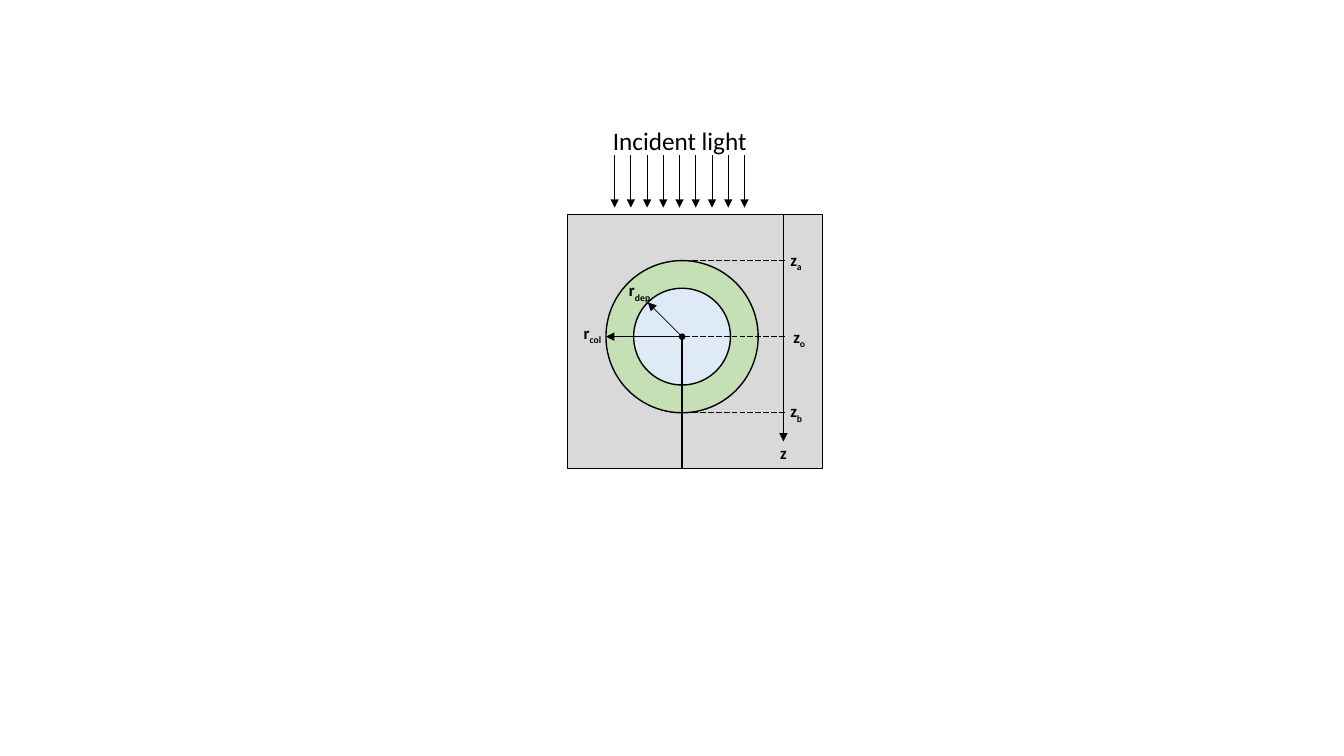
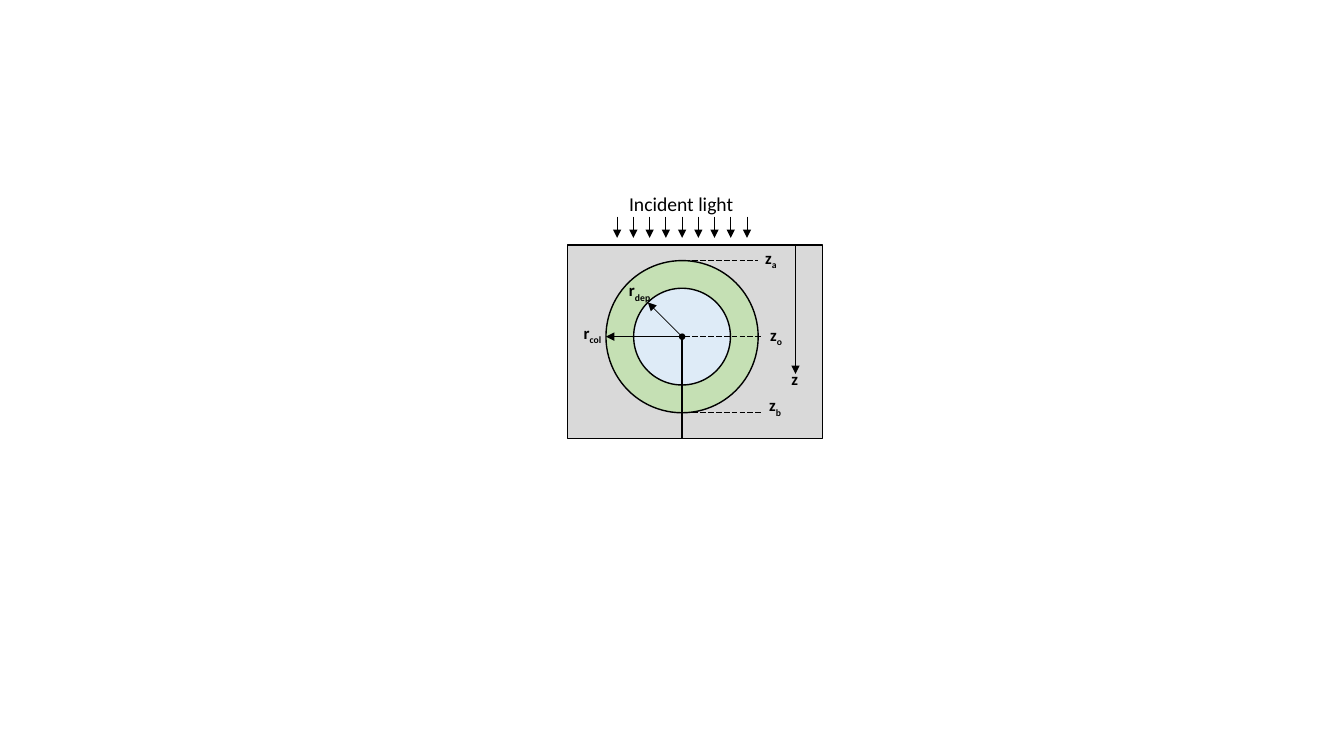
from dataclasses import dataclass
from math import cos, radians, sin

from pptx import Presentation
from pptx.dml.color import RGBColor
from pptx.enum.dml import MSO_LINE
from pptx.enum.shapes import MSO_CONNECTOR, MSO_SHAPE
from pptx.enum.text import MSO_AUTO_SIZE
from pptx.oxml.ns import qn
from pptx.util import Inches, Pt
from lxml.etree import SubElement


@dataclass(frozen=True)
class Theme:
    font: str = "Calibri"
    ink: str = "000000"
    medium: str = "D9D9D9"
    collection: str = "C5E0B4"
    depletion: str = "DEEBF7"
    label_size: float = 12
    thin: float = 0.5
    outline: float = 1


THEME = Theme()
COLUMNS, ROWS = 1333, 750
CELL = Inches(0.01)

CENTRE_COL, CENTRE_ROW = 676.5, 334
R_COL, R_DEP, R_DOT = 75.5, 48, 2.5
BOX_LEFT, BOX_WIDTH = 563, 253
LABEL_HEIGHT = 30
RAY_COUNT, RAY_PITCH = 9, 16.1
DEP_ANGLE = radians(225)

RADIUS_LABELS = [("r", "dep", 614, 273, 43), ("r", "col", 569, 315, 39)]

DIAGRAMS = [
    {
        "box": (213, 252),
        "axis": (777, 438),
        "guide_ends": (780, 780, 780),
        "depth_labels": [
            ("z", "", 764, 434, 27),
            ("z", "a", 774, 243, 32),
            ("z", "o", 777, 319, 33),
            ("z", "b", 774, 393, 33),
        ],
        "rays": (674, 154, 206),
        "light": (598, 119, 155, 40, 18),
    },
    {
        "box": (243, 192),
        "axis": (789, 371),
        "guide_ends": (752, 756, 756),
        "depth_labels": [
            ("z", "", 775, 361, 27),
            ("z", "a", 749, 241, 32),
            ("z", "o", 754, 317, 33),
            ("z", "b", 753, 387, 33),
        ],
        "rays": (676.5, 215, 236),
        "light": (614, 186, 125, 34, 14),
    },
]


def cells(*counts):
    return [round(count * CELL) for count in counts]


def add_body(shapes, kind, bounds, fill):
    body = shapes.add_shape(kind, *cells(*bounds))
    body.shadow.inherit = False
    body.fill.solid()
    body.fill.fore_color.rgb = RGBColor.from_string(fill)
    body.line.color.rgb = RGBColor.from_string(THEME.ink)
    body.line.width = Pt(THEME.outline)


def add_circle(shapes, radius, fill):
    bounds = (CENTRE_COL - radius, CENTRE_ROW - radius, 2 * radius, 2 * radius)
    add_body(shapes, MSO_SHAPE.OVAL, bounds, fill)


def add_line(shapes, start, end, width=THEME.thin, dashed=False, arrow=False):
    stroke = shapes.add_connector(MSO_CONNECTOR.STRAIGHT, *cells(*start, *end))
    stroke.line.color.rgb = RGBColor.from_string(THEME.ink)
    stroke.line.width = Pt(width)
    if dashed:
        stroke.line.dash_style = MSO_LINE.LONG_DASH
    properties = stroke._element.spPr
    if arrow:
        SubElement(properties.find(qn("a:ln")), qn("a:tailEnd"), type="triangle")
    SubElement(properties, qn("a:effectLst"))


def add_label(shapes, text, subscript, bounds, size, bold):
    label = shapes.add_textbox(*cells(*bounds))
    frame = label.text_frame
    frame.word_wrap = False
    frame.auto_size = MSO_AUTO_SIZE.SHAPE_TO_FIT_TEXT
    for part, baseline in ((text, None), (subscript, "-25000")):
        if not part:
            continue
        run = frame.paragraphs[0].add_run()
        run.text = part
        run.font.name = THEME.font
        run.font.size = Pt(size)
        run.font.bold = bold
        run.font.color.rgb = RGBColor.from_string(THEME.ink)
        if baseline:
            run._r.get_or_add_rPr().set("baseline", baseline)


def add_wire(shapes, box_top, box_height):
    add_body(shapes, MSO_SHAPE.RECTANGLE,
             (BOX_LEFT, box_top, BOX_WIDTH, box_height), THEME.medium)
    for radius, fill in ((R_COL, THEME.collection), (R_DEP, THEME.depletion),
                         (R_DOT, THEME.ink)):
        add_circle(shapes, radius, fill)
    for radius, angle in ((R_DEP, DEP_ANGLE), (R_COL, radians(180))):
        start, end = [(CENTRE_COL + reach * cos(angle), CENTRE_ROW + reach * sin(angle))
                      for reach in (R_DOT, radius)]
        add_line(shapes, start, end, arrow=True)
    add_line(shapes, (CENTRE_COL, CENTRE_ROW + R_DOT),
             (CENTRE_COL, box_top + box_height), THEME.outline)


def add_depths(shapes, box_top, axis, guide_ends):
    axis_col, axis_end = axis
    add_line(shapes, (axis_col, box_top), (axis_col, axis_end), arrow=True)
    for offset, guide_end in zip((-R_COL, 0, R_COL), guide_ends):
        row = CENTRE_ROW + offset
        add_line(shapes, (CENTRE_COL + R_DOT, row), (guide_end, row), dashed=True)


def add_light(shapes, rays, light):
    middle, top, bottom = rays
    for index in range(RAY_COUNT):
        column = middle + (index - (RAY_COUNT - 1) / 2) * RAY_PITCH
        add_line(shapes, (column, top), (column, bottom), arrow=True)
    *bounds, size = light
    add_label(shapes, "Incident light", "", bounds, size, False)


def add_diagram(slide, diagram):
    shapes = slide.shapes.add_group_shape().shapes
    add_wire(shapes, *diagram["box"])
    add_depths(shapes, diagram["box"][0], diagram["axis"], diagram["guide_ends"])
    for text, subscript, left, top, width in RADIUS_LABELS + diagram["depth_labels"]:
        add_label(shapes, text, subscript, (left, top, width, LABEL_HEIGHT),
                  THEME.label_size, True)
    add_light(shapes, diagram["rays"], diagram["light"])


def main():
    deck = Presentation()
    deck.slide_width, deck.slide_height = cells(COLUMNS, ROWS)
    for diagram in DIAGRAMS:
        add_diagram(deck.slides.add_slide(deck.slide_layouts[6]), diagram)
    deck.save("out.pptx")


if __name__ == "__main__":
    main()
